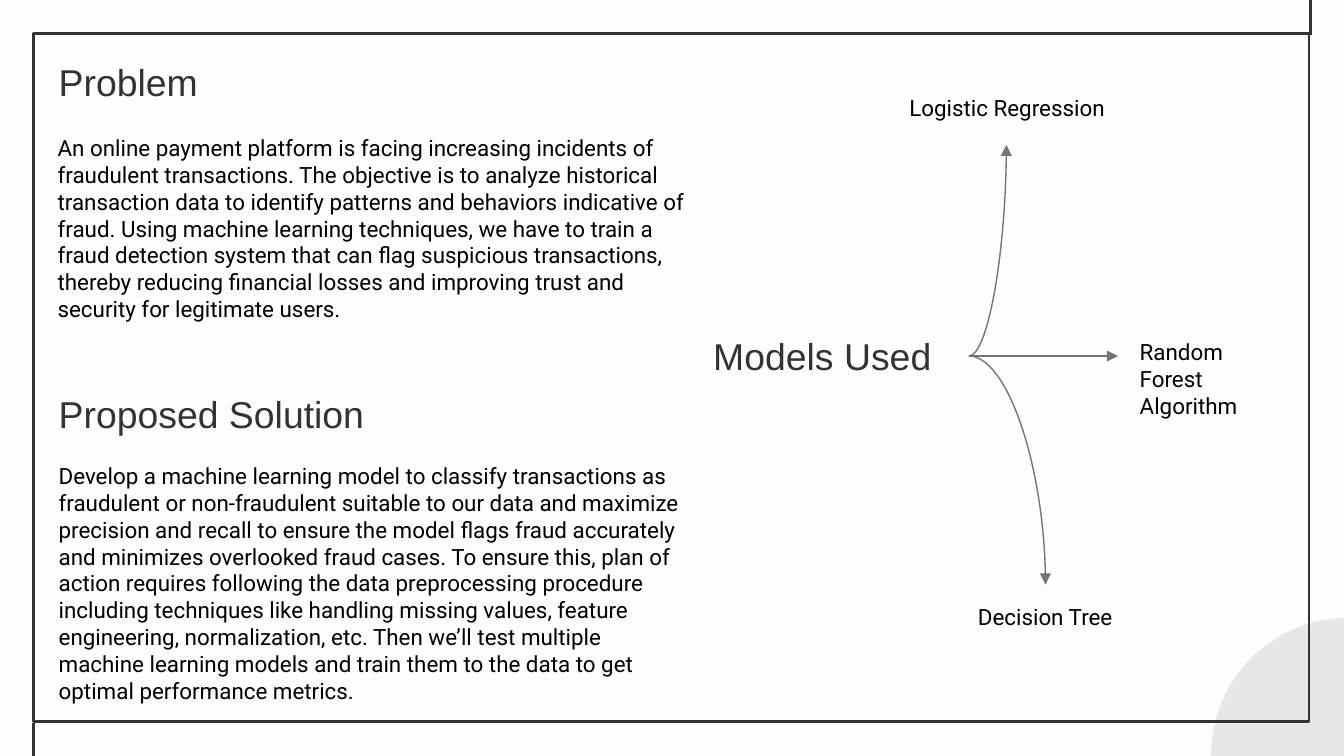
"""Build the slide on the fraud problem, its solution and the models used."""
import pptx
import pptx.dml.color
import pptx.enum.shapes
import pptx.enum.text
import pptx.oxml
import pptx.oxml.ns
import pptx.util

Cm, Pt = pptx.util.Cm, pptx.util.Pt
RGBColor = pptx.dml.color.RGBColor
Kind = pptx.enum.shapes.MSO_CONNECTOR
Form = pptx.enum.shapes.MSO_SHAPE
Fit = pptx.enum.text.MSO_AUTO_SIZE
Side = pptx.enum.text.MSO_ANCHOR
Align = pptx.enum.text.PP_ALIGN
qn = pptx.oxml.ns.qn

PAPER = RGBColor(0xFD, 0xFD, 0xFD)
DARK = RGBColor(0x33, 0x33, 0x33)
GREY = RGBColor(0x74, 0x74, 0x74)
PALE = RGBColor(0xE8, 0xE7, 0xE7)
BLACK = RGBColor(0, 0, 0)

PROBLEM = (
    "An online payment platform is facing increasing incidents of fraudulent "
    "transactions. The objective is to analyze historical transaction data to "
    "identify patterns and behaviors indicative of fraud. Using machine learning "
    "techniques, we have to train a fraud detection system that can flag "
    "suspicious transactions, thereby reducing financial losses and improving "
    "trust and security for legitimate users."
)
ANSWER = (
    "Develop a machine learning model to classify transactions as fraudulent or "
    "non-fraudulent suitable to our data and maximize precision and recall to "
    "ensure the model flags fraud accurately and minimizes overlooked fraud "
    "cases. To ensure this, plan of action requires following the data "
    "preprocessing procedure including techniques like handling missing values, "
    "feature engineering, normalization, etc. Then we’ll test multiple machine "
    "learning models and train them to the data to get optimal performance "
    "metrics."
)


def apply(target, values):
    """Set each named value on the target."""
    for name, value in values.items():
        setattr(target, name, value)


def node(tag, extra=""):
    """Make a drawing element."""
    return pptx.oxml.parse_xml(f"<a:{tag} {pptx.oxml.ns.nsdecls('a')} {extra}/>")


class Page:
    """Hold the style and the current slide."""

    head = {"name": "Arial", "size": Pt(20), "bold": False}
    body = {"name": "Roboto", "size": Pt(12), "bold": False}
    pad = {"margin_" + side: Cm(0.25) for side in ("left", "top", "right", "bottom")}
    mid = {"word_wrap": True, "auto_size": Fit.NONE, "vertical_anchor": Side.MIDDLE}
    grow = {"word_wrap": True, "auto_size": Fit.SHAPE_TO_FIT_TEXT,
            "vertical_anchor": Side.TOP}

    def __init__(self, deck):
        """Add a title-only slide to the deck."""
        self.slide = deck.slides.add_slide(deck.slide_layouts[5])
        self.shapes = self.slide.shapes
        fill = self.slide.background.fill
        fill.solid()
        fill.fore_color.rgb = PAPER

    def label(self, shape, text, frame, font, tint, align):
        """Put styled text in a shape."""
        shape.text_frame.text = text
        apply(shape.text_frame, frame)
        para = shape.text_frame.paragraphs[0]
        para.alignment = align
        apply(para.runs[0].font, font)
        para.runs[0].font.color.rgb = tint

    def title(self, text, *box):
        """Place and fill the title."""
        shape = self.shapes.title
        apply(shape, dict(zip(("left", "top", "width", "height"), map(Cm, box))))
        self.label(shape, text, self.pad | self.mid, self.head, DARK, Align.LEFT)

    def heading(self, text, *box):
        """Add a heading."""
        shape = self.shapes.add_textbox(*map(Cm, box))
        self.label(shape, text, self.pad | self.mid, self.head, DARK, Align.LEFT)

    def note(self, text, *box, align=Align.LEFT):
        """Add body text."""
        shape = self.shapes.add_textbox(*map(Cm, box))
        self.label(shape, text, self.grow, self.body, BLACK, align)

    def disc(self, *box):
        """Add a pale disc."""
        shape = self.shapes.add_shape(Form.OVAL, *map(Cm, box))
        shape.shadow.inherit = False
        shape.fill.solid()
        shape.fill.fore_color.rgb = PALE
        shape.line.fill.background()

    def frame(self, *box):
        """Add an open frame."""
        shape = self.shapes.add_shape(Form.RECTANGLE, *map(Cm, box))
        shape.shadow.inherit = False
        shape.fill.background()
        shape.line.color.rgb = DARK
        shape.line.width = Pt(1.5)

    def rule(self, *ends, kind=Kind.STRAIGHT, tint=DARK, width=1.5):
        """Add a line and return it."""
        line = self.shapes.add_connector(kind, *map(Cm, ends))
        line.line.color.rgb = tint
        line.line.width = Pt(width)
        line.element.spPr.append(node("effectLst"))
        return line

    def arrow(self, *ends, kind=Kind.STRAIGHT):
        """Add a thin arrow, bent once if curved."""
        line = self.rule(*ends, kind=kind, tint=GREY, width=0.75)
        props = line.element.spPr
        props.find(qn("a:ln")).append(node("tailEnd", "type='triangle'"))
        if kind == Kind.CURVE:
            props.find(qn("a:prstGeom")).set("prst", "curvedConnector2")


def main():
    """Draw the slide and save it."""
    deck = pptx.Presentation()
    apply(deck, {"slide_width": Cm(25.4), "slide_height": Cm(14.29)})
    page = Page(deck)

    page.disc(22.89, 11.68, 5.18, 5.18)
    page.rule(24.76, 0.66, 24.76, -0.13)
    page.rule(0.64, 14.45, 0.64, 13.67)
    page.frame(0.64, 0.64, 24.1, 13)

    page.title("Problem", 0.86, 0.75, 11.84, 1.6)
    page.note(PROBLEM, 0.84, 2.41, 12.37, 3.84)
    page.heading("Proposed Solution", 0.86, 7.09, 12.37, 1.45)
    page.note(ANSWER, 0.86, 8.61, 12.37, 4.88)

    page.heading("Models Used", 13.23, 5.99, 5.08, 1.45)
    hub = (18.31, 6.73)
    page.arrow(*hub, 19.02, 2.74, kind=Kind.CURVE)
    page.arrow(*hub, 19.76, 11.05, kind=Kind.CURVE)
    page.arrow(*hub, 21.13, 6.73)
    page.note("Logistic Regression", 15.54, 1.65, 6.99, 0.76, align=Align.CENTER)
    page.note("Random Forest Algorithm", 21.29, 6.27, 3.25, 1.8)
    page.note("Decision Tree", 16.26, 11.28, 6.99, 0.76, align=Align.CENTER)

    deck.save("out.pptx")


if __name__ == "__main__":
    main()
